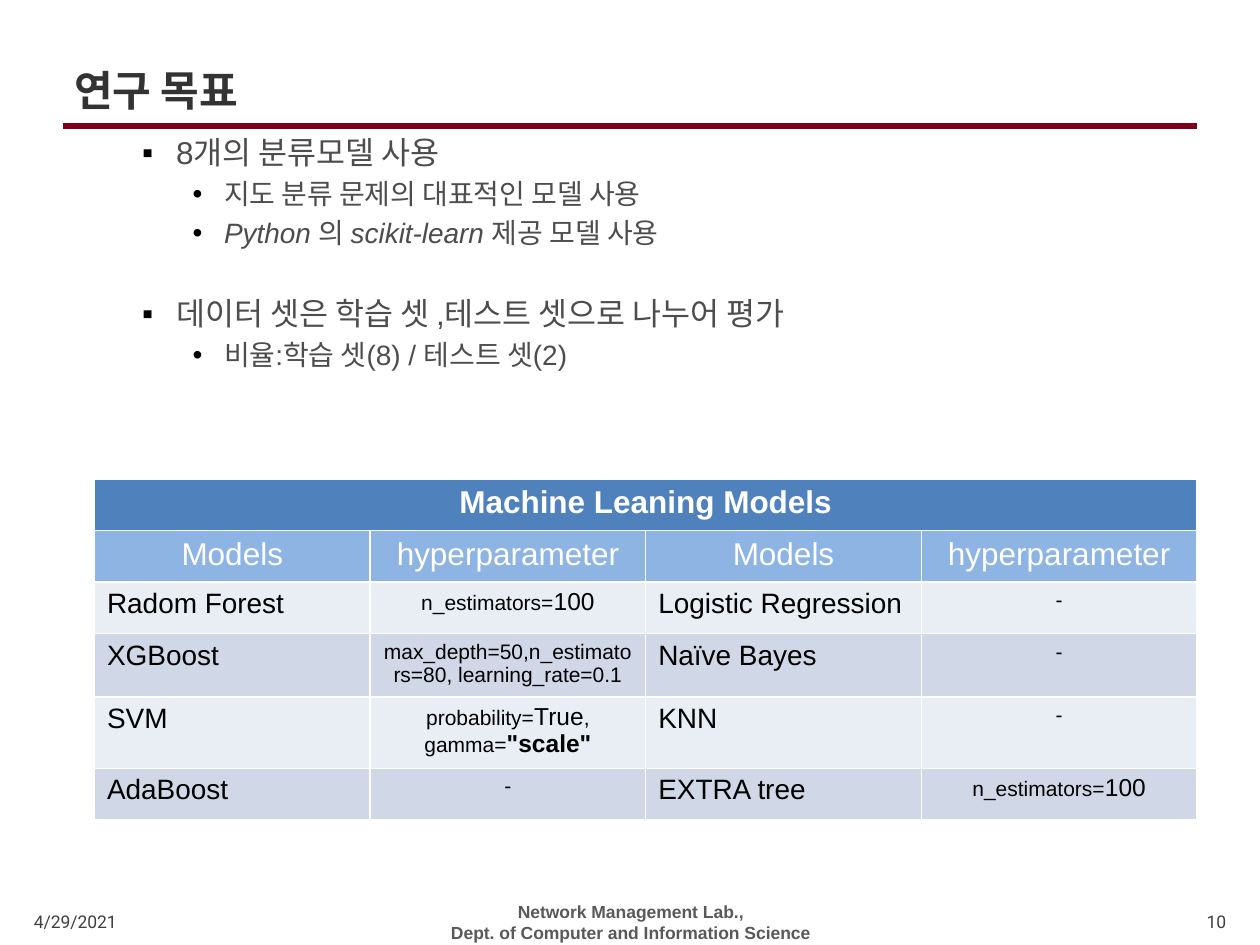
from lxml.etree import SubElement
from pptx import Presentation
from pptx.dml.color import RGBColor
from pptx.enum.shapes import MSO_CONNECTOR as Connector
from pptx.enum.text import MSO_ANCHOR as Anchor, PP_ALIGN as Align
from pptx.oxml.ns import qn
from pptx.util import Inches, Pt

MAROON = RGBColor(0x7C, 0x00, 0x1A)
TITLE_GRAY = RGBColor(0x33, 0x33, 0x33)
BODY_GRAY = RGBColor(0x4D, 0x4D, 0x4D)
DATE_GRAY = RGBColor(0x40, 0x40, 0x40)
FOOTER_GRAY = RGBColor(0x59, 0x59, 0x59)
WHITE = RGBColor(0xFF, 0xFF, 0xFF)
BLACK = RGBColor(0x00, 0x00, 0x00)
HEADER_BLUE = RGBColor(0x4F, 0x81, 0xBD)
SUBHEADER_BLUE = RGBColor(0x8E, 0xB4, 0xE3)
BANDS = (RGBColor(0xE9, 0xED, 0xF4), RGBColor(0xD0, 0xD8, 0xE8))

LEVELS = {
    1: {"size": 18, "margin": 0.81, "indent": -0.27, "bullet": "▪"},
    2: {"size": 16, "margin": 1.19, "indent": -0.25, "bullet": "•"},
}
SECTION_GAP = 22
OUTLINE = [
    (1, [("8개의 분류모델 사용", False)], 0),
    (2, [("지도 분류 문제의 대표적인 모델 사용", False)], 0),
    (2, [("Python ", True), ("의 ", False), ("scikit-learn ", True),
         ("제공 모델 사용", False)], 0),
    (1, [("데이터 셋은 학습 셋 ,테스트 셋으로 나누어 평가", False)], SECTION_GAP),
    (2, [("비율:학습 셋(8) / 테스트 셋(2)", False)], 0),
]

NONE = [("-", 12, False)]
HUNDRED_TREES = [("n_estimators=", 12, False), ("100", 14, False)]
MODELS = [
    ("Radom Forest", HUNDRED_TREES, "Logistic Regression", NONE),
    ("XGBoost", [("max_depth=50,n_estimators=80, learning_rate=0.1", 12, False)],
     "Naïve Bayes", NONE),
    ("SVM", [("probability=", 12, False), ("True", 14, False),
             (", gamma=", 12, False), ('"scale"', 14, True)], "KNN", NONE),
    ("AdaBoost", NONE, "EXTRA tree", HUNDRED_TREES),
]


def set_font(font, size, color, name="Arial", bold=False):
    font.name = name
    font.size = Pt(size)
    font.bold = bold
    font.color.rgb = color


def add_box(slide, left, top, width, height, anchor=Anchor.MIDDLE):
    box = slide.shapes.add_textbox(
        Inches(left), Inches(top), Inches(width), Inches(height))
    frame = box.text_frame
    frame.word_wrap = True
    frame.vertical_anchor = anchor
    return frame


def add_label(slide, place, text, size, color, name="Arial", bold=False,
              align=Align.LEFT):
    para = add_box(slide, *place).paragraphs[0]
    para.text = text
    para.alignment = align
    set_font(para.font, size, color, name, bold)


def add_rule(slide):
    rule = slide.shapes.add_connector(
        Connector.STRAIGHT, Inches(0.5), Inches(1), Inches(9.5), Inches(1))
    rule.line.color.rgb = MAROON
    rule.line.width = Pt(3)
    SubElement(rule._element.spPr, qn("a:effectLst"))


def set_bullet(para, level):
    properties = para._p.get_or_add_pPr()
    properties.set("marL", str(Inches(level["margin"])))
    properties.set("indent", str(Inches(level["indent"])))
    color = SubElement(properties, qn("a:buClr"))
    SubElement(color, qn("a:srgbClr"), val=str(BLACK))
    SubElement(properties, qn("a:buFont"), typeface="Arial")
    SubElement(properties, qn("a:buChar"), char=level["bullet"])


def add_outline(slide):
    frame = add_box(slide, 0.49, 1.01, 9, 6.16, Anchor.TOP)
    for index, (depth, spans, gap) in enumerate(OUTLINE):
        para = frame.add_paragraph() if index else frame.paragraphs[0]
        level = LEVELS[depth]
        para.level = depth
        para.space_before = Pt(0.2 * level["size"] + gap)
        set_bullet(para, level)
        set_font(para.font, level["size"], BODY_GRAY)
        for text, italic in spans:
            span = para.add_run()
            span.text = text
            span.font.italic = italic


def fill_cell(cell, spans, fill, color, align):
    cell.fill.solid()
    cell.fill.fore_color.rgb = fill
    para = cell.text_frame.paragraphs[0]
    para.alignment = align
    for text, size, bold in spans:
        span = para.add_run()
        span.text = text
        set_font(span.font, size, color, bold=bold)


def add_model_table(slide):
    table = slide.shapes.add_table(
        len(MODELS) + 2, 4, Inches(0.75), Inches(3.8),
        Inches(8.75), Inches(2.46)).table
    table.cell(0, 0).merge(table.cell(0, 3))
    fill_cell(table.cell(0, 0), [("Machine Leaning Models", 18, True)],
              HEADER_BLUE, WHITE, Align.CENTER)
    for column, heading in enumerate(("Models", "hyperparameter") * 2):
        fill_cell(table.cell(1, column), [(heading, 18, False)],
                  SUBHEADER_BLUE, WHITE, Align.CENTER)
    for index, values in enumerate(MODELS):
        for column, value in enumerate(values):
            is_name = column % 2 == 0
            spans = [(value, 16, False)] if is_name else value
            fill_cell(table.cell(index + 2, column), spans, BANDS[index % 2],
                      BLACK, Align.LEFT if is_name else Align.CENTER)


def main():
    deck = Presentation()
    deck.slide_width, deck.slide_height = Inches(10), Inches(7.5)
    slide = deck.slides.add_slide(deck.slide_layouts[6])
    add_rule(slide)
    add_label(slide, (0.49, 0.44, 9.01, 0.55), "연구 목표", 24, TITLE_GRAY, bold=True)
    add_outline(slide)
    add_label(slide, (0.17, 7.19, 1.15, 0.25), "4/29/2021", 10, DATE_GRAY, "Roboto")
    add_label(slide, (9.27, 7.19, 0.56, 0.25), "10", 10, DATE_GRAY, "Roboto",
              align=Align.RIGHT)
    add_label(slide, (2.37, 7.19, 5.27, 0.25),
              "Network Management Lab.,\vDept. of Computer and Information Science",
              10, FOOTER_GRAY, bold=True, align=Align.CENTER)
    add_model_table(slide)
    deck.save("out.pptx")


if __name__ == "__main__":
    main()
